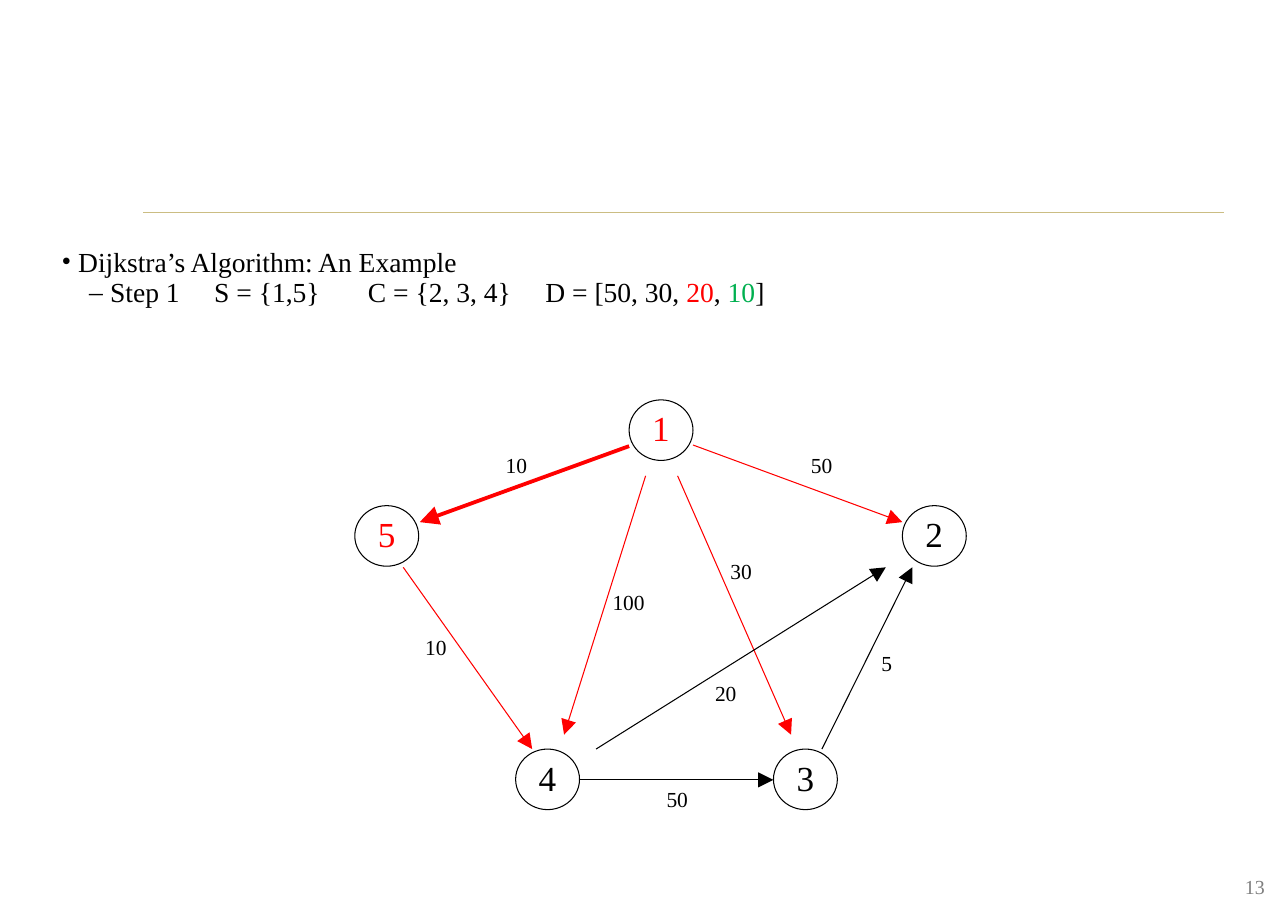
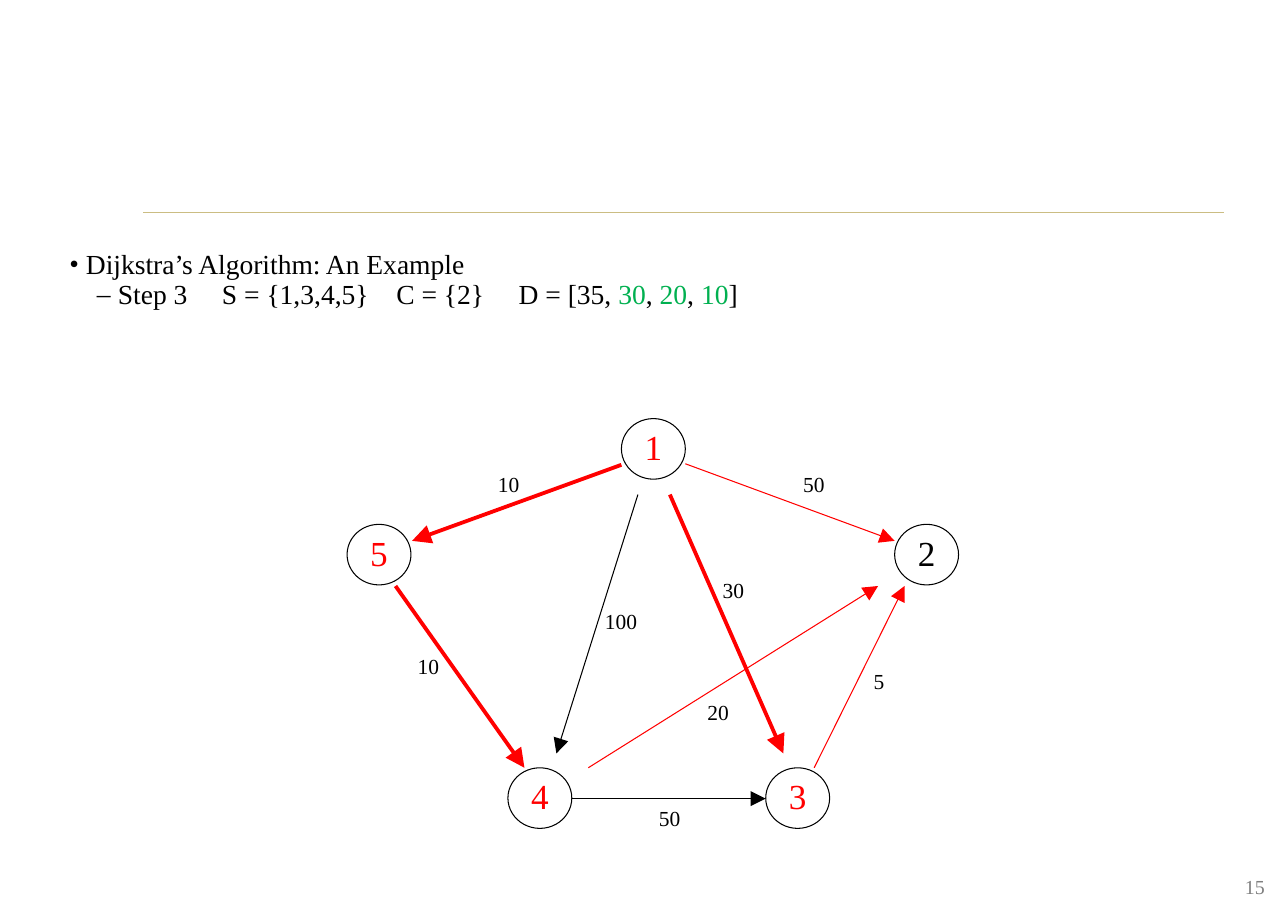
from lxml.etree import SubElement as Sub
from pptx import Presentation as Deck
from pptx.dml.color import RGBColor as Rgb
from pptx.enum.shapes import MSO_CONNECTOR as Link, MSO_SHAPE as Shape
from pptx.enum.text import MSO_ANCHOR as Anchor, PP_ALIGN as Align
from pptx.oxml.ns import qn
from pptx.util import Inches, Pt

FONT = "Times New Roman"
HUES = {"ink": "000000", "paper": "FFFFFF", "red": "FF0000",
        "green": "00B050", "gray": "7F7F7F", "rule": "CBBD83"}
WIDE, HIGH = 0.58, 0.55
NODES = {"1": (2.49, 0), "2": (4.97, 0.96), "3": (3.8, 3.17),
         "4": (1.46, 3.17), "5": (0, 0.96)}
EDGES = {
    "1-5": ((2.49, 0.42), (0.59, 1.11), "10", (1.37, 0.48)),
    "1-2": ((3.07, 0.41), (4.97, 1.11), "50", (4.14, 0.48)),
    "1-4": ((2.64, 0.69), (1.9, 3.04), "100", (2.34, 1.72)),
    "1-3": ((2.93, 0.69), (3.96, 3.04), "30", (3.41, 1.44)),
    "5-4": ((0.44, 1.52), (1.61, 3.17), "10", (0.64, 2.13)),
    "4-3": ((2.04, 3.45), (3.8, 3.45), "50", (2.83, 3.51)),
    "3-2": ((4.24, 3.17), (5.06, 1.52), "5", (4.78, 2.27)),
    "4-2": ((2.19, 3.17), (4.82, 1.52), "20", (3.27, 2.55)),
}
STEPS = [
    {"page": "13", "text": (0.45, 2.19), "graph": (3.22, 3.63),
     "step": "Step 1", "sets": [(18, "S = {1,5}"), (27, "C = {2, 3, 4}")],
     "costs": [("50", "ink"), ("30", "ink"), ("20", "red"), ("10", "green")],
     "done": "15", "seen": ["1-2", "1-3", "1-4", "5-4"], "best": ["1-5"]},
    {"page": "15", "text": (0.52, 2.21), "graph": (3.15, 3.8),
     "step": "Step 3", "sets": [(18, "S = {1,3,4,5}"), (13.5, "C = {2}")],
     "costs": [("35", "ink"), ("30", "green"), ("20", "green"), ("10", "green")],
     "done": "1345", "seen": ["1-2", "3-2", "4-2"], "best": ["1-5", "5-4", "1-3"]},
]


def tint(name):
    """Return the named colour."""
    return Rgb.from_string(HUES[name])


def write(para, text, size, hue="ink"):
    """Add one run to a paragraph and return it."""
    para.line_spacing = 0.92
    run = para.add_run()
    run.text = text
    run.font.name, run.font.size = FONT, Pt(size)
    run.font.color.rgb = tint(hue)
    return run


def frame(shape, left=0, top=0):
    """Set the insets and wrapping of a shape and return its text frame."""
    text = shape.text_frame
    text.word_wrap = True
    text.margin_left = text.margin_right = Inches(left)
    text.margin_top = text.margin_bottom = Inches(top)
    return text


def label(slide, x, y, text, size=14, hue="ink"):
    """Place a short line of text."""
    box = slide.shapes.add_textbox(Inches(x), Inches(y), Inches(0.36), Inches(0.22))
    write(frame(box, top=0.02).paragraphs[0], text, size, hue)


def stroke(slide, start, end, hue, width, arrow=False):
    """Draw a straight line, with an arrowhead if asked."""
    line = slide.shapes.add_connector(Link.STRAIGHT, *map(Inches, (*start, *end)))
    line.line.color.rgb = tint(hue)
    line.line.width = Pt(width)
    if arrow:
        Sub(line.line._get_or_add_ln(), qn("a:tailEnd"),
            {"type": "triangle", "w": "lg", "len": "lg"})
    Sub(line._element.spPr, qn("a:effectLst"))


def bullet(para, mark, left, hang):
    """Give a paragraph a hanging bullet."""
    props = para._p.get_or_add_pPr()
    props.set("marL", str(Inches(left)))
    props.set("indent", str(-Inches(hang)))
    Sub(props, qn("a:buFont"), typeface=FONT)
    Sub(props, qn("a:buChar"), char=mark)


def notes(slide, x, y, step):
    """Write the heading and the state of the sets and costs."""
    box = slide.shapes.add_textbox(Inches(x), Inches(y), Inches(11.02), Inches(0.67))
    text = frame(box, 0.11, 0.06)
    head, state = text.paragraphs[0], text.add_paragraph()
    bullet(head, "•", 0.15, 0.15)
    write(head, "Dijkstra’s Algorithm: An Example", 18)
    bullet(state, "–", 0.44, 0.19)
    write(state, step["step"], 18)
    for gap, part in step["sets"] + [(18, "D = [")]:
        space = write(state, " ", 18)
        space.font._element.set("spc", str(int(gap * 100)))
        write(state, part, 18)
    for i, (cost, hue) in enumerate(step["costs"]):
        if i:
            write(state, ", ", 18)
        write(state, cost, 18, hue)
    write(state, "]", 18)


def node(slide, x, y, name, hue):
    """Draw one numbered node."""
    oval = slide.shapes.add_shape(Shape.OVAL, *map(Inches, (x, y, WIDE, HIGH)))
    oval.shadow.inherit = False
    oval.fill.solid()
    oval.fill.fore_color.rgb = tint("paper")
    oval.line.color.rgb = tint("ink")
    oval.line.width = Pt(0.68)
    text = frame(oval)
    text.vertical_anchor = Anchor.MIDDLE
    text.paragraphs[0].alignment = Align.CENTER
    write(text.paragraphs[0], name, 23, hue)


def graph(slide, x, y, step):
    """Draw the weighted graph from its top left corner."""
    def shift(point):
        """Move a point from the graph to the slide."""
        return x + point[0], y + point[1]

    for name, spot in NODES.items():
        node(slide, *shift(spot), name, "red" if name in step["done"] else "ink")
    for name, (start, end, cost, spot) in EDGES.items():
        best = name in step["best"]
        hue = "red" if best or name in step["seen"] else "ink"
        stroke(slide, shift(start), shift(end), hue, 2.5 if best else 0.68, True)
        label(slide, *shift(spot), cost)


def build(deck, step):
    """Add the slide for one step."""
    slide = deck.slides.add_slide(deck.slide_layouts[6])
    stroke(slide, (1.3, 1.93), (11.11, 1.93), "rule", 0.23)
    graph(slide, *step["graph"], step)
    label(slide, 11.3, 7.94, step["page"], 13, "gray")
    notes(slide, *step["text"], step)


def main():
    """Build and save the deck."""
    deck = Deck()
    deck.slide_width, deck.slide_height = Inches(11.69), Inches(8.27)
    for step in STEPS:
        build(deck, step)
    deck.save("out.pptx")


if __name__ == "__main__":
    main()
